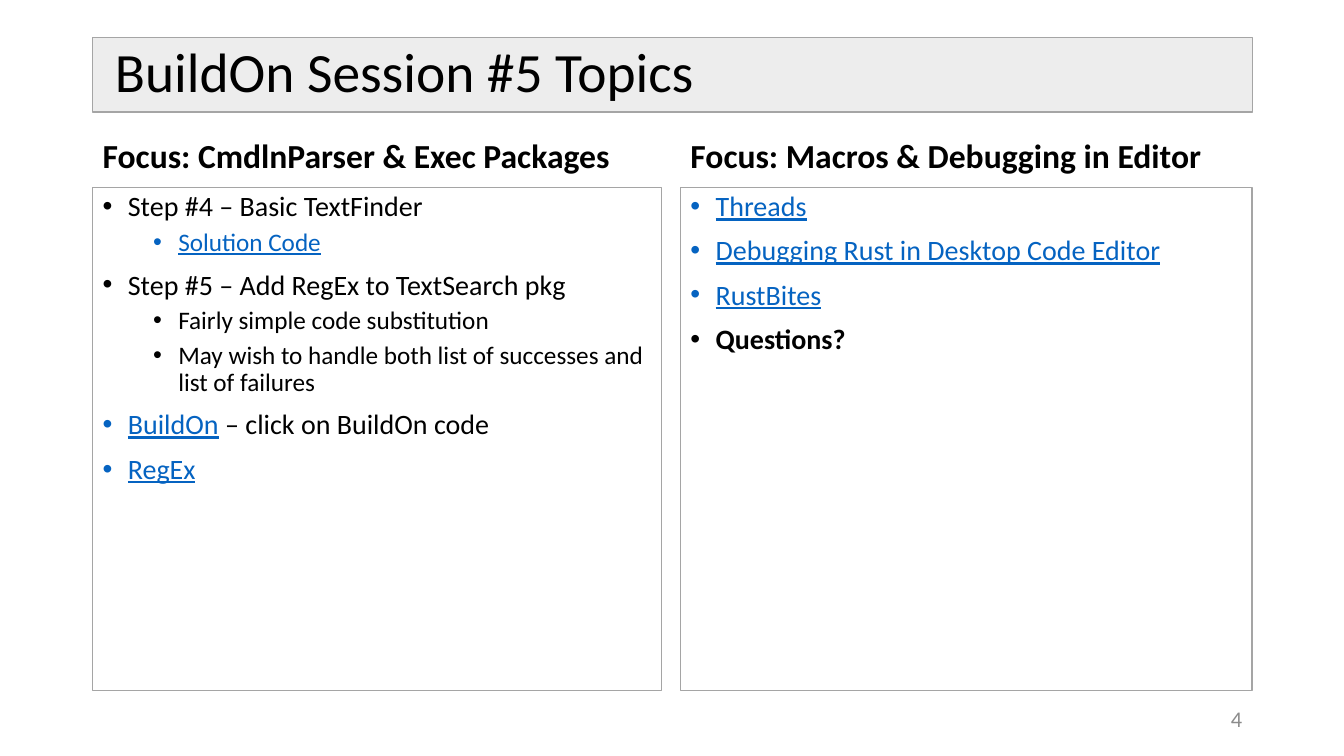
import pptx
import pptx.dml.color
import pptx.enum.shapes
import pptx.enum.text
import pptx.util
from lxml import etree
from pptx.oxml.ns import qn

Inches = pptx.util.Inches
Pt = pptx.util.Pt
ALIGN = pptx.enum.text.PP_ALIGN
ANCHOR = pptx.enum.text.MSO_ANCHOR

BLACK, WHITE, LINK, GREY = "000000", "FFFFFF", "0563C1", "8C8C8C"
TITLE_FILL, BORDER = "EDEDED", "A5A5A5"


def color(value):
    return pptx.dml.color.RGBColor.from_string(value)


def add_text(paragraph, text, size=20, fill=BLACK, bold=False, underline=False):
    """Append a formatted run to the paragraph."""
    run = paragraph.add_run()
    run.text = text
    run.font.name = "Calibri"
    run.font.size = Pt(size)
    run.font.color.rgb = color(fill)
    run.font.bold = bold
    run.font.underline = underline


def add_bullet(paragraph, level):
    properties = paragraph._p.get_or_add_pPr()
    properties.set("marL", str(Inches(0.25 + 0.5 * level)))
    properties.set("indent", str(-Inches(0.25)))
    etree.SubElement(properties, qn("a:buFont"), typeface="Arial")
    etree.SubElement(properties, qn("a:buChar"), char="•")
    paragraph.level = level


class TopicSlide:
    def __init__(self, presentation):
        self.slide = presentation.slides.add_slide(presentation.slide_layouts[5])

    def frame(self, shape, anchor):
        frame = shape.text_frame
        frame.word_wrap = True
        frame.auto_size = pptx.enum.text.MSO_AUTO_SIZE.NONE
        frame.vertical_anchor = anchor
        return frame

    def outline(self, shape, fill):
        shape.fill.solid()
        shape.fill.fore_color.rgb = color(fill)
        shape.line.color.rgb = color(BORDER)
        shape.line.width = Pt(1)

    def title(self, text, left, top, width, height):
        shape = self.slide.shapes.title
        shape.left, shape.top = Inches(left), Inches(top)
        shape.width, shape.height = Inches(width), Inches(height)
        self.outline(shape, TITLE_FILL)
        frame = self.frame(shape, ANCHOR.MIDDLE)
        frame.margin_left = Inches(0.22)
        paragraph = frame.paragraphs[0]
        paragraph.alignment = ALIGN.LEFT
        paragraph.line_spacing = 0.9
        add_text(paragraph, text, size=39.6)

    def label(self, text, left, top, width, height, anchor=ANCHOR.BOTTOM,
              align=ALIGN.LEFT, **style):
        box = self.slide.shapes.add_textbox(
            Inches(left), Inches(top), Inches(width), Inches(height))
        paragraph = self.frame(box, anchor).paragraphs[0]
        paragraph.alignment = align
        paragraph.line_spacing = 0.9
        add_text(paragraph, text, **style)

    def bullet_panel(self, items, left, top, width, height):
        """Draw a bordered list; each item is a level and its (text, style) runs."""
        panel = self.slide.shapes.add_shape(
            pptx.enum.shapes.MSO_SHAPE.RECTANGLE,
            Inches(left), Inches(top), Inches(width), Inches(height))
        panel.shadow.inherit = False
        self.outline(panel, WHITE)
        frame = self.frame(panel, ANCHOR.TOP)
        for index, (level, runs) in enumerate(items):
            paragraph = frame.add_paragraph() if index else frame.paragraphs[0]
            add_bullet(paragraph, level)
            paragraph.alignment = ALIGN.LEFT
            paragraph.line_spacing = 0.9
            paragraph.space_before = Pt((5 if level else 10) if index else 0)
            for text, style in runs:
                add_text(paragraph, text, size=18 if level else 20, **style)


def main():
    presentation = pptx.Presentation()
    presentation.slide_width = Inches(13.33)
    presentation.slide_height = Inches(7.5)

    plain, strong = {}, {"bold": True}
    link = {"fill": LINK, "underline": True}
    columns = [
        (0.92, 5.64, "Focus: CmdlnParser & Exec Packages", [
            (0, [("Step #4 – Basic TextFinder", plain)]),
            (1, [("Solution Code", link)]),
            (0, [("Step #5 – Add RegEx to TextSearch pkg", plain)]),
            (1, [("Fairly simple code substitution", plain)]),
            (1, [("May wish to handle both list of successes and list of failures",
                  plain)]),
            (0, [("BuildOn", link), (" – click on BuildOn code", plain)]),
            (0, [("RegEx", link)]),
        ]),
        (6.75, 5.67, "Focus: Macros & Debugging in Editor", [
            (0, [("Threads", link)]),
            (0, [("Debugging Rust in Desktop Code Editor", link)]),
            (0, [("RustBites", link)]),
            (0, [("Questions?", strong)]),
        ]),
    ]

    topics = TopicSlide(presentation)
    topics.title("BuildOn Session #5 Topics", 0.92, 0.37, 11.5, 0.74)
    for left, width, heading, items in columns:
        topics.label(heading, left, 1.26, width, 0.53, size=24, bold=True)
        topics.bullet_panel(items, left, 1.86, width, 4.99)
    topics.label("4", 9.42, 6.95, 3, 0.4, anchor=ANCHOR.MIDDLE,
                 align=ALIGN.RIGHT, size=16, fill=GREY)
    presentation.save("out.pptx")


if __name__ == "__main__":
    main()
